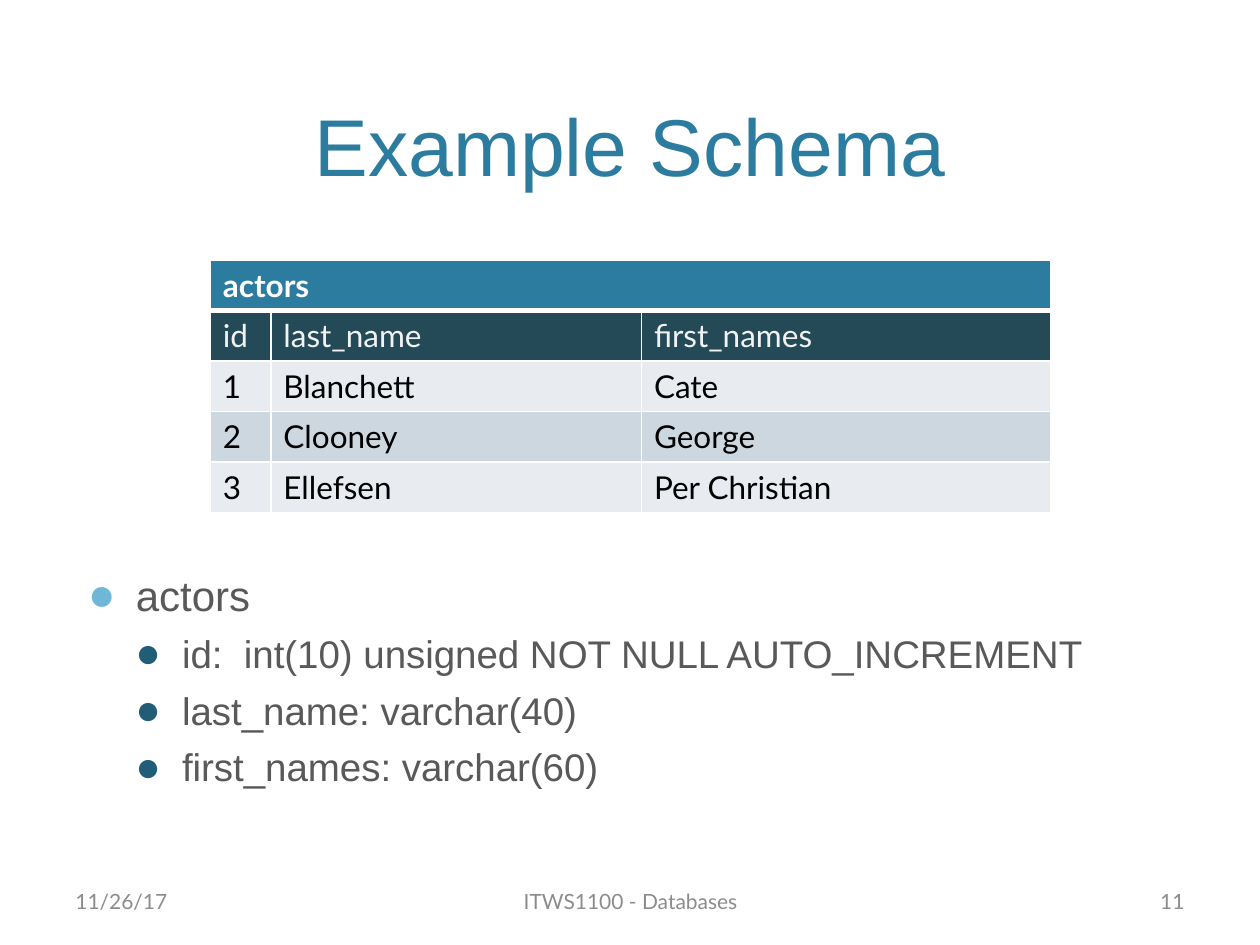
from dataclasses import dataclass
from typing import Any

from lxml import etree
from pptx import Presentation
from pptx import util as u
from pptx.dml.color import RGBColor
from pptx.enum import text
from pptx.oxml import ns


@dataclass(frozen=True)
class Theme:
    """Colours, typefaces and type sizes of the slide."""
    heading_font: str = "Arial"
    table_font: str = "Lato"
    title: str = "2C7C9F"
    body: str = "595959"
    footer: str = "8C8C8C"
    white: str = "FFFFFF"
    header_text: str = "F2F2F2"
    black: str = "000000"
    header_fill: str = "244A58"
    bands: tuple[str, str] = ("E8ECF0", "CDD7DF")
    bullets: tuple[str, str] = ("6FB7D7", "215D77")
    body_sizes: tuple[int, int] = (24, 22)
    title_size: int = 46
    table_size: int = 18
    footer_size: int = 12


@dataclass(frozen=True)
class Box:
    """A rectangle in centimetres."""
    left: float
    top: float
    width: float
    height: float

    def lengths(self) -> tuple[u.Cm, ...]:
        """Return the sides as lengths."""
        return tuple(u.Cm(side) for side in (self.left, self.top, self.width, self.height))


@dataclass(frozen=True)
class Label:
    """A single line of text in a box."""
    words: str
    box: Box
    size: int
    font: str
    color: str
    align: text.PP_ALIGN
    anchor: text.MSO_ANCHOR = text.MSO_ANCHOR.MIDDLE


@dataclass(frozen=True)
class Bullet:
    """A bulleted line, its level and the space above it."""
    words: str
    level: int
    space_before: int


THEME = Theme()
LABELS = (
    Label("Example Schema", Box(1.52, 0.3, 22.35, 3.71), THEME.title_size,
          THEME.heading_font, THEME.title, text.PP_ALIGN.CENTER, text.MSO_ANCHOR.BOTTOM),
    Label("11/26/17", Box(1.27, 17.65, 5.92, 1.02), THEME.footer_size,
          THEME.table_font, THEME.footer, text.PP_ALIGN.LEFT),
    Label("ITWS1100 - Databases", Box(8.69, 17.65, 8.05, 1.02), THEME.footer_size,
          THEME.table_font, THEME.footer, text.PP_ALIGN.CENTER),
    Label("11", Box(18.21, 17.65, 5.92, 1.02), THEME.footer_size,
          THEME.table_font, THEME.footer, text.PP_ALIGN.RIGHT),
)
BULLETS = (
    Bullet("actors", 0, 0),
    Bullet("id:  int(10) unsigned NOT NULL AUTO_INCREMENT", 1, 6),
    Bullet("last_name: varchar(40)", 1, 6),
    Bullet("first_names: varchar(60)", 1, 6),
)
BODY_BOX = Box(1.52, 11.35, 22.35, 5.16)
INDENTS = ((0.97, -0.97), (1.9, -0.94))
TABLE_BOX = Box(4.24, 5.24, 16.94, 5.1)
COLUMN_WIDTHS = (1.22, 7.47, 8.25)
ROWS = (
    ("actors", "", ""),
    ("id", "last_name", "first_names"),
    ("1", "Blanchett", "Cate"),
    ("2", "Clooney", "George"),
    ("3", "Ellefsen", "Per Christian"),
)


def apply(target: Any, values: dict[str, Any]) -> None:
    """Set each named attribute on the target."""
    for name, value in values.items():
        setattr(target, name, value)


def style_font(font: Any, name: str, size: int, color: str, bold: bool = False) -> None:
    """Give a font its face, size, weight and colour."""
    apply(font, {"name": name, "size": u.Pt(size), "bold": bold})
    font.color.rgb = RGBColor.from_string(color)


def add_frame(slide: Any, box: Box, anchor: text.MSO_ANCHOR) -> Any:
    """Add a wrapping text box and return its text frame."""
    frame = slide.shapes.add_textbox(*box.lengths()).text_frame
    apply(frame, {"word_wrap": True, "vertical_anchor": anchor})
    return frame


def add_label(slide: Any, label: Label) -> None:
    """Draw one label."""
    paragraph = add_frame(slide, label.box, label.anchor).paragraphs[0]
    apply(paragraph, {"text": label.words, "alignment": label.align})
    style_font(paragraph.runs[0].font, label.font, label.size, label.color)


def add_bullets(slide: Any) -> None:
    """Draw the column definitions as a bulleted list."""
    frame = add_frame(slide, BODY_BOX, text.MSO_ANCHOR.TOP)
    for index, bullet in enumerate(BULLETS):
        paragraph = frame.add_paragraph() if index else frame.paragraphs[0]
        apply(paragraph, {"text": bullet.words, "level": bullet.level,
                          "space_before": u.Pt(bullet.space_before)})
        style_font(paragraph.runs[0].font, THEME.heading_font,
                   THEME.body_sizes[bullet.level], THEME.body)
        properties = paragraph._p.get_or_add_pPr()
        margin, indent = INDENTS[bullet.level]
        properties.set("marL", str(u.Cm(margin)))
        properties.set("indent", str(u.Cm(indent)))
        color = etree.SubElement(properties, ns.qn("a:buClr"))
        etree.SubElement(color, ns.qn("a:srgbClr"), val=THEME.bullets[bullet.level])
        etree.SubElement(properties, ns.qn("a:buSzPct"), val="110000")
        etree.SubElement(properties, ns.qn("a:buFont"), typeface=THEME.heading_font)
        etree.SubElement(properties, ns.qn("a:buChar"), char="●")


def add_borders(cell: Any, row: int) -> None:
    """Draw white cell borders, thicker below the table name."""
    properties = cell._tc.get_or_add_tcPr()
    widths = {"lnL": 1, "lnR": 1, "lnT": 3 if row == 1 else 1, "lnB": 3 if row == 0 else 1}
    for position, (side, points) in enumerate(widths.items()):
        line = etree.Element(ns.qn(f"a:{side}"), w=str(u.Pt(points)))
        fill = etree.SubElement(line, ns.qn("a:solidFill"))
        etree.SubElement(fill, ns.qn("a:srgbClr"), val=THEME.white)
        properties.insert(position, line)


def row_colors(row: int) -> tuple[str, str]:
    """Return the fill and text colour of a row."""
    if row == 0:
        return THEME.title, THEME.white
    if row == 1:
        return THEME.header_fill, THEME.header_text
    return THEME.bands[row % 2], THEME.black


def add_actors_table(slide: Any) -> None:
    """Draw the table of actors."""
    table = slide.shapes.add_table(len(ROWS), len(COLUMN_WIDTHS), *TABLE_BOX.lengths()).table
    for column, width in zip(table.columns, COLUMN_WIDTHS):
        column.width = u.Cm(width)
    for row, words in enumerate(ROWS):
        fill, color = row_colors(row)
        for column, word in enumerate(words):
            cell = table.cell(row, column)
            cell.fill.solid()
            cell.fill.fore_color.rgb = RGBColor.from_string(fill)
            add_borders(cell, row)
            if word:
                cell.text = word
                style_font(cell.text_frame.paragraphs[0].runs[0].font,
                           THEME.table_font, THEME.table_size, color, row == 0)
    table.cell(0, 0).merge(table.cell(0, len(COLUMN_WIDTHS) - 1))


def main() -> None:
    """Build and save the slide."""
    presentation = Presentation()
    apply(presentation, {"slide_width": u.Cm(25.4), "slide_height": u.Cm(19.05)})
    slide = presentation.slides.add_slide(presentation.slide_layouts[6])
    for label in LABELS:
        add_label(slide, label)
    add_bullets(slide)
    add_actors_table(slide)
    presentation.save("out.pptx")


main()
